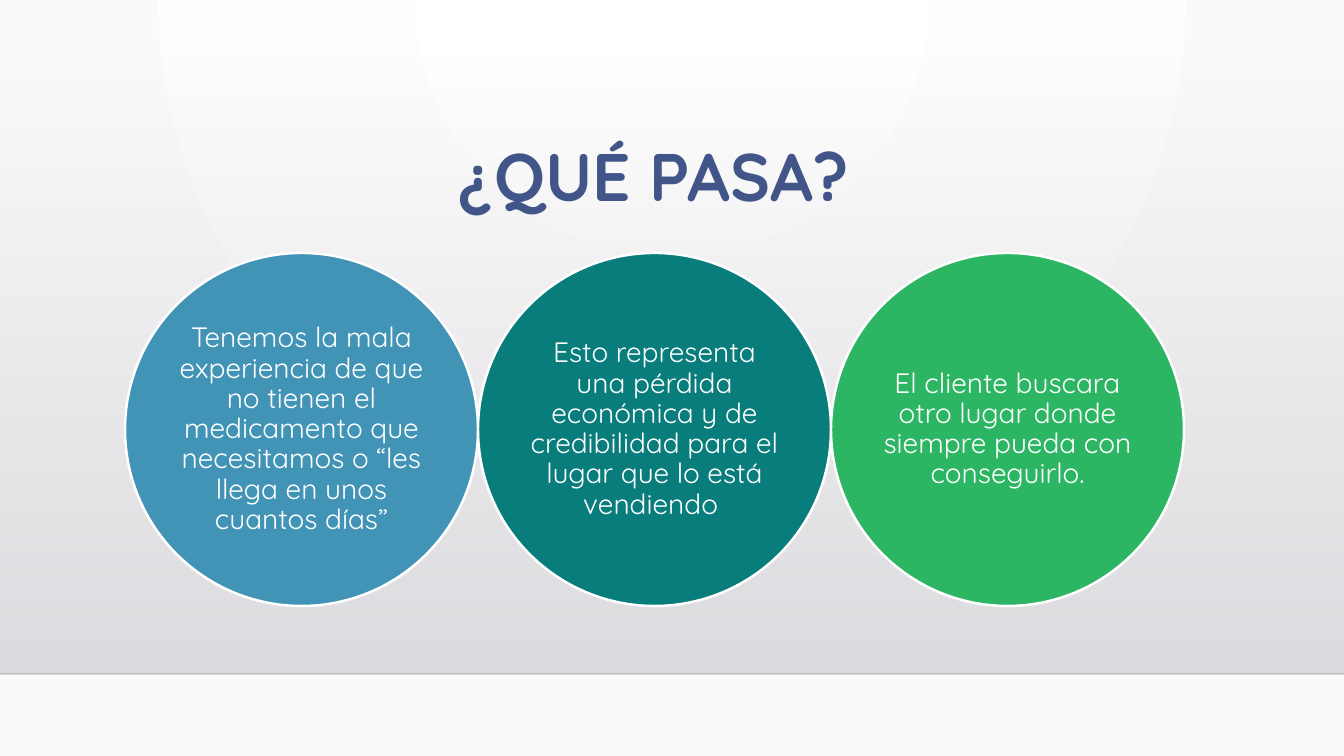
from dataclasses import dataclass

from pptx import Presentation
from pptx import util as u
from pptx.dml.color import RGBColor
from pptx.enum import shapes, text
from pptx.oxml import parse_xml
from pptx.oxml.ns import nsdecls

PX = 914400 / 100.8


@dataclass(frozen=True)
class Theme:
    font: str = "Quicksand"
    title: str = "415588"
    white: str = "FFFFFF"
    edge: str = "FAFAFA"
    haze: str = "DCDCE0"
    floor: str = "DEDEE2"
    rule: str = "000001"
    discs: tuple = ("4294B6", "087D7C", "2CB663")
    big: int = 48
    body: int = 20


T = Theme()
RADIAL = '<a:path path="circle"><a:fillToRect l="43000" r="43000" b="100000"/></a:path>'
DOWN = '<a:lin ang="5400000" scaled="0"/>'
CAUSES = (
    "Tenemos la mala experiencia de que no tienen el medicamento que "
    "necesitamos o “les llega en unos cuantos días”",
    "Esto representa una pérdida económica y de credibilidad para el "
    "lugar que lo está vendiendo ",
    "El cliente buscara otro lugar donde siempre pueda con conseguirlo.",
)


def emu(*sizes):
    return [u.Emu(round(size * PX)) for size in sizes]


def rgb(code):
    return RGBColor.from_string(code)


def blend(owner, stops, course):
    marks = "".join(
        f'<a:gs pos="{pos}"><a:srgbClr val="{code}"><a:alpha val="{alpha}"/></a:srgbClr></a:gs>'
        for pos, code, alpha in stops
    )
    solid = owner.xpath(".//a:solidFill")[0]
    solid.getparent().replace(solid, parse_xml(
        f'<a:gradFill {nsdecls("a")} rotWithShape="1"><a:gsLst>{marks}</a:gsLst>{course}</a:gradFill>'
    ))


def write(shape, words, size, code, anchor, bold=False):
    frame = shape.text_frame
    frame.text = words
    frame.word_wrap = True
    frame.vertical_anchor = anchor
    para = frame.paragraphs[0]
    para.alignment = text.PP_ALIGN.CENTER
    para.line_spacing = 0.9
    font = para.runs[0].font
    font.name, font.size, font.bold = T.font, u.Pt(size), bold
    font.color.rgb = rgb(code)


def backdrop(slide, left, top, width, height):
    slide.background.fill.solid()
    slide.background.fill.fore_color.rgb = rgb(T.white)
    blend(slide.element, ((0, T.white, 100000), (100000, T.edge, 100000)), RADIAL)

    wall = slide.shapes.add_shape(shapes.MSO_SHAPE.RECTANGLE, *emu(left, top, width, height))
    wall.shadow.inherit = False
    wall.line.fill.background()
    wall.fill.solid()
    blend(wall.element, ((0, T.haze, 0), (100000, T.floor, 100000)), DOWN)

    base = top + height
    rule = slide.shapes.add_connector(
        shapes.MSO_CONNECTOR.STRAIGHT, *emu(left, base, left + width, base))
    rule.line.width = u.Pt(1)
    rule.line.color.rgb = rgb(T.rule)
    rule.element.xpath(".//a:srgbClr")[0].append(
        parse_xml(f'<a:alpha {nsdecls("a")} val="20000"/>'))
    rule.element.spPr.append(parse_xml(f'<a:effectLst {nsdecls("a")}/>'))


def heading(slide, left, top, width, height):
    box = slide.shapes.add_textbox(*emu(left, top, width, height))
    write(box, "¿QUÉ PASA?", T.big, T.title, text.MSO_ANCHOR.BOTTOM, True)


def circles(slide, left, top, width, height):
    step = width / len(CAUSES)
    for place, (words, code) in enumerate(zip(CAUSES, T.discs)):
        disc = slide.shapes.add_shape(
            shapes.MSO_SHAPE.OVAL, *emu(left + place * step, top, step, height))
        disc.shadow.inherit = False
        disc.fill.solid()
        disc.fill.fore_color.rgb = rgb(code)
        disc.line.color.rgb = rgb(T.white)
        disc.line.width = u.Pt(1.75)
        write(disc, words, T.body, T.white, text.MSO_ANCHOR.MIDDLE)
        frame = disc.text_frame
        frame.margin_left = frame.margin_right = 0
        frame.margin_top = frame.margin_bottom = 0


def main():
    deck = Presentation()
    deck.slide_width, deck.slide_height = emu(1344, 756)
    slide = deck.slides.add_slide(deck.slide_layouts[6])
    backdrop(slide, 0, 51, 1344, 623)
    heading(slide, 125, 105, 1058, 116)
    circles(slide, 125, 253, 1059, 353)
    deck.save("out.pptx")


main()
